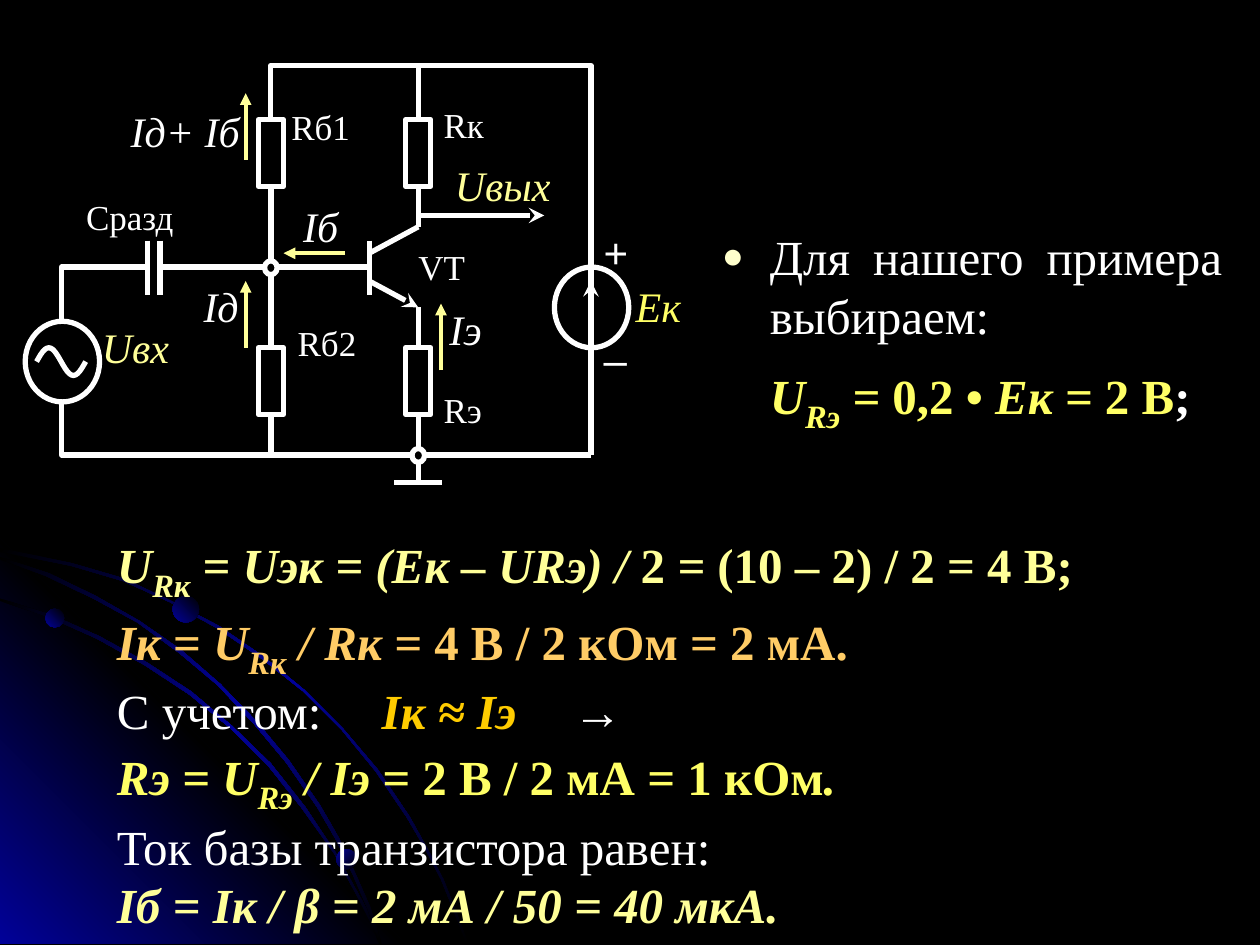
import math
from dataclasses import dataclass
from typing import Optional

import pptx
import pptx.dml.color
import pptx.enum.shapes
import pptx.enum.text
import pptx.oxml
import pptx.oxml.ns
import pptx.util
from lxml import etree

Inches = pptx.util.Inches
Pt = pptx.util.Pt
Shape = pptx.enum.shapes.MSO_SHAPE
Align = pptx.enum.text.PP_ALIGN
SERIF = "Times New Roman"
WHITE, BLACK, BLUE = "FFFFFF", "000000", "010199"
YELLOW, PALE, ORANGE, GOLD = "FFFF66", "FFFF99", "FFCC66", "FFCC00"


@dataclass
class Wire:
    points: list
    color: str = WHITE
    width: float = 3
    arrow: Optional[str] = None


@dataclass
class Label:
    text: str
    left: float
    top: float
    width: float
    size: int = 20
    color: str = WHITE
    italic: bool = False
    align: Align = Align.CENTER
    font: str = SERIF


@dataclass
class Piece:
    text: str
    color: str
    bold: bool = True
    italic: bool = True
    subscript: bool = False


def rgb(color: str):
    return pptx.dml.color.RGBColor.from_string(color)


def add_element(parent, tag: str, **attributes: str):
    element = etree.SubElement(parent, pptx.oxml.ns.qn(tag))
    for name, value in attributes.items():
        element.set(name, value)
    return element


def fill_gradient(shape, colors: list, angle: int) -> None:
    shape.fill.gradient()
    gradient = shape.fill._fill._gradFill
    for child in list(gradient):
        gradient.remove(child)
    stops = add_element(gradient, "a:gsLst")
    for index, color in enumerate(colors):
        position = 100000 * index // (len(colors) - 1)
        stop = add_element(stops, "a:gs", pos=str(position))
        add_element(stop, "a:srgbClr", val=color)
    add_element(gradient, "a:lin", ang=str(angle * 60000), scaled="0")
    shape.line.fill.background()
    shape.shadow.inherit = False


def draw_outline(shapes, points: list, close: bool):
    lengths = [(Inches(x), Inches(y)) for x, y in points]
    builder = shapes.build_freeform(*lengths[0])
    builder.add_line_segments(lengths[1:], close=close)
    shape = builder.convert_to_shape()
    shape.shadow.inherit = False
    return shape


def draw_wire(shapes, wire: Wire) -> None:
    if len(wire.points) == 2:
        ends = [Inches(value) for point in wire.points for value in point]
        shape = shapes.add_connector(pptx.enum.shapes.MSO_CONNECTOR.STRAIGHT, *ends)
    else:
        shape = draw_outline(shapes, wire.points, False)
        shape.fill.background()
    shape.line.color.rgb = rgb(wire.color)
    shape.line.width = Pt(wire.width)
    if wire.arrow:
        add_element(shape.line._get_or_add_ln(), "a:tailEnd", type=wire.arrow)
    if len(wire.points) == 2:
        add_element(shape._element.spPr, "a:effectLst")


def draw_part(shapes, kind, box: tuple, fill: Optional[str] = None) -> None:
    shape = shapes.add_shape(kind, *map(Inches, box))
    shape.shadow.inherit = False
    if fill:
        shape.fill.solid()
        shape.fill.fore_color.rgb = rgb(fill)
    else:
        shape.fill.background()
    shape.line.color.rgb = rgb(WHITE)
    shape.line.width = Pt(3)


def draw_label(shapes, label: Label) -> None:
    box = shapes.add_textbox(*map(Inches, (label.left, label.top, label.width, 0.43)))
    frame = box.text_frame
    frame.word_wrap = True
    frame.margin_left = frame.margin_right = frame.margin_top = frame.margin_bottom = 0
    paragraph = frame.paragraphs[0]
    paragraph.text = label.text
    paragraph.alignment = label.align
    paragraph.font.name = label.font
    paragraph.font.size = Pt(label.size)
    paragraph.font.italic = label.italic
    paragraph.font.color.rgb = rgb(label.color)


def write_pieces(paragraph, pieces: list) -> None:
    paragraph.font.name = SERIF
    paragraph.font.size = Pt(28)
    for piece in pieces:
        run = paragraph.add_run()
        run.text = piece.text
        run.font.bold = piece.bold
        run.font.italic = piece.italic
        run.font.color.rgb = rgb(piece.color)
        if piece.subscript:
            run.font.size = Pt(32)
            run._r.get_or_add_rPr().set("baseline", "-25000")


BANDS = [
    [(0.57, 4.47), (0, 4.35), (0, 4.38), (0.56, 4.49), (0.97, 4.61), (1.35, 4.78),
     (1.73, 4.99), (2.08, 5.23), (2.41, 5.49), (2.71, 5.79), (2.98, 6.12), (3.23, 6.49),
     (3.37, 6.73), (3.5, 6.98), (3.6, 7.23), (3.7, 7.49), (3.72, 7.49), (3.62, 7.23),
     (3.52, 6.98), (3.39, 6.73), (3.25, 6.48), (3, 6.11), (2.72, 5.78), (2.42, 5.48),
     (2.09, 5.21), (1.74, 4.97), (1.36, 4.77), (0.98, 4.59)],
    [(2.85, 7.14), (2.94, 7.32), (3.01, 7.49), (3.03, 7.49), (2.96, 7.3), (2.86, 7.12),
     (2.66, 6.76), (2.42, 6.4), (2.15, 6.06), (1.84, 5.76), (1.52, 5.49), (1.17, 5.26),
     (0.79, 5.05), (0.41, 4.88), (0, 4.75), (0, 4.77), (0.39, 4.9), (0.77, 5.07),
     (1.15, 5.28), (1.5, 5.51), (1.83, 5.78), (2.13, 6.08), (2.4, 6.42), (2.65, 6.77)],
    [(0, 4.42), (0, 4.44), (0.36, 4.57), (0.74, 4.75), (1.09, 4.94), (1.42, 5.18),
     (1.73, 5.44), (2.02, 5.75), (2.27, 6.05), (2.52, 6.41), (2.67, 6.67), (2.8, 6.94),
     (2.92, 7.22), (3.01, 7.49), (3.03, 7.49), (2.94, 7.2), (2.82, 6.93), (2.69, 6.65),
     (2.54, 6.39), (2.29, 6.03), (2.04, 5.73), (1.75, 5.43), (1.44, 5.16), (1.11, 4.93),
     (0.76, 4.73), (0.39, 4.55)],
]
TRIANGLE = [(3.22, 7.49), (0, 7.49), (0, 4.27)]
DOTS = [(0.36, 4.83, 0.15, 135), (2.67, 6.74, 0.16, 225), (1.37, 4.73, 0.21, 135)]
SINE = [(0.29 + 0.39 * step / 24, 2.87 - 0.11 * math.sin(math.tau * step / 24)) for step in range(25)]
WIRES = [
    Wire(SINE),
    Wire([(0.49, 2.55), (0.49, 2.12), (1.17, 2.12)]),
    Wire([(0.49, 3.19), (0.49, 3.61), (4.69, 3.61)]),
    Wire([(2.15, 0.95), (2.15, 0.52), (4.69, 0.52), (4.69, 3.61)]),
    *[Wire([(x, 1.91), (x, 2.34)]) for x in (1.17, 1.27, 2.93)],
    Wire([(1.27, 2.12), (2.93, 2.12)]),
    Wire([(2.15, 1.48), (2.15, 2.76)]),
    Wire([(2.15, 3.3), (2.15, 3.61)]),
    Wire([(3.32, 0.52), (3.32, 0.95)]),
    Wire([(3.32, 1.48), (3.32, 1.8)]),
    Wire([(2.93, 2.01), (3.32, 1.8)]),
    Wire([(2.93, 2.23), (3.32, 2.44)], arrow="stealth"),
    Wire([(3.32, 2.44), (3.32, 2.76)]),
    Wire([(3.32, 3.3), (3.32, 3.81)]),
    Wire([(3.13, 3.83), (3.51, 3.83)]),
    Wire([(4.69, 2.76), (4.69, 2.23)], arrow="stealth"),
    Wire([(3.34, 1.71), (4.32, 1.71)], arrow="stealth"),
    *[Wire([(x, y), (x, y - 0.53)], PALE, 2.25, "triangle")
      for x, y in ((1.95, 2.76), (1.95, 1.27), (3.5, 2.94))],
    Wire([(2.74, 2.01), (2.25, 2.01)], PALE, 2.25, "triangle"),
]
LABELS = [
    Label("Сразд", 0.59, 1.55, 0.88),
    Label("Rб1", 2.25, 0.84, 0.59),
    Label("Rб2", 2.25, 2.55, 0.69),
    Label("Rк", 3.52, 0.82, 0.39, align=Align.LEFT),
    Label("VT", 3.32, 1.95, 0.49, align=Align.LEFT),
    Label("Rэ", 3.52, 3.08, 0.39, align=Align.LEFT),
    Label("Eк", 4.98, 2.23, 0.49, 24, YELLOW, True),
    Label("Uвх", 0.78, 2.55, 0.59, 24, PALE, True),
    Label("Uвых", 3.61, 1.27, 0.92, 24, PALE, True, Align.LEFT),
    Label("Iд+ Iб", 0.98, 0.84, 0.98, 24, italic=True),
    Label("Iб", 2.35, 1.59, 0.39, 24, italic=True),
    Label("Iд", 1.56, 2.23, 0.39, 24, italic=True),
    Label("Iэ", 3.5, 2.41, 0.39, 24, italic=True),
    Label("+", 4.79, 1.8, 0.39, 24, align=Align.LEFT, font="Arial"),
    Label("–", 4.79, 2.65, 0.39, 24, align=Align.LEFT, font="Arial"),
]
EXAMPLE = [
    [Piece("Для нашего примера выбираем:", WHITE, False, False)],
    [Piece("U", YELLOW), Piece("Rэ", YELLOW, subscript=True), Piece(" = ", YELLOW),
     Piece("0,2 • ", YELLOW, italic=False), Piece("Eк = ", YELLOW),
     Piece("2 В", YELLOW, italic=False), Piece(";", WHITE, italic=False)],
]
CALCULATION = [
    [Piece("U", PALE), Piece("Rк", PALE, subscript=True), Piece(" = Uэк = (Eк – URэ) / ", PALE),
     Piece("2", PALE, italic=False), Piece(" = ", PALE), Piece("(10 – 2) / 2 = 4 В;", PALE, italic=False)],
    [Piece("Iк", ORANGE), Piece(" = ", ORANGE, italic=False), Piece("U", ORANGE),
     Piece("Rк", ORANGE, subscript=True), Piece(" / Rк = ", ORANGE),
     Piece("4 В / 2 кОм = 2 мА.", ORANGE, italic=False)],
    [Piece("С учетом:\t", WHITE, False, False), Piece("Iк ≈ Iэ", GOLD), Piece("\t→", WHITE, False)],
    [Piece("Rэ = U", YELLOW), Piece("Rэ", YELLOW, subscript=True), Piece(" / Iэ = ", YELLOW),
     Piece("2 В / 2 мА = 1 кОм", YELLOW, italic=False), Piece(".", YELLOW)],
    [Piece("Ток базы транзистора равен:", WHITE, False, False)],
    [Piece("Iб = Iк / β = 2 мА / 50 = 40 мкА.", PALE)],
]


def draw_backdrop(shapes) -> None:
    fill_gradient(draw_outline(shapes, TRIANGLE, True), [BLUE, BLACK, BLUE], 135)
    for band in BANDS:
        fill_gradient(draw_outline(shapes, band, True), [BLACK, BLUE, BLACK], 225)
    for left, top, size, angle in DOTS:
        dot = shapes.add_shape(Shape.OVAL, *map(Inches, (left, top, size, size)))
        fill_gradient(dot, [BLACK, BLUE], angle)


def draw_circuit(shapes) -> None:
    for wire in WIRES:
        draw_wire(shapes, wire)
    for left, top in ((0.2, 2.55), (4.4, 2.12)):
        draw_part(shapes, Shape.OVAL, (left, top, 0.59, 0.64))
    for left in (2.05, 3.22):
        for top in (0.95, 2.76):
            draw_part(shapes, Shape.RECTANGLE, (left, top, 0.2, 0.53))
    for left, top in ((2.1, 2.07), (3.27, 3.56)):
        draw_part(shapes, Shape.OVAL, (left, top, 0.1, 0.11), BLACK)
    for label in LABELS:
        draw_label(shapes, label)


def write_example(body) -> None:
    body.left, body.top, body.width, body.height = map(Inches, (5.63, 1.75, 4.17, 2))
    frame = body.text_frame
    frame.auto_size = pptx.enum.text.MSO_AUTO_SIZE.NONE
    frame.vertical_anchor = pptx.enum.text.MSO_ANCHOR.TOP
    for index, pieces in enumerate(EXAMPLE):
        paragraph = frame.add_paragraph() if index else frame.paragraphs[0]
        paragraph.alignment = Align.JUSTIFY
        paragraph.space_before = Pt(8 * index)
        properties = paragraph._p.get_or_add_pPr()
        properties.set("marL", str(Inches(0.38)))
        properties.set("indent", str(0 if index else Inches(-0.38)))
        if index:
            add_element(properties, "a:buNone")
        else:
            add_element(add_element(properties, "a:buClr"), "a:srgbClr", val="FFFFCC")
            add_element(properties, "a:buSzPct", val="75000")
            add_element(properties, "a:buChar", char="●")
        write_pieces(paragraph, pieces)


def write_calculation(shapes) -> None:
    frame = shapes.add_textbox(*map(Inches, (0.83, 4.14, 8.82, 3.32))).text_frame
    frame.word_wrap = True
    for index, pieces in enumerate(CALCULATION):
        paragraph = frame.add_paragraph() if index else frame.paragraphs[0]
        if any("\t" in piece.text for piece in pieces):
            stops = add_element(paragraph._p.get_or_add_pPr(), "a:tabLst")
            for position in (2.1, 3.62):
                add_element(stops, "a:tab", pos=str(Inches(position)), algn="l")
        write_pieces(paragraph, pieces)


def main() -> None:
    presentation = pptx.Presentation()
    presentation.slide_width, presentation.slide_height = Inches(10), Inches(7.5)
    slide = presentation.slides.add_slide(presentation.slide_layouts[1])
    slide.background.fill.solid()
    slide.background.fill.fore_color.rgb = rgb(BLACK)
    title = slide.shapes.title._element
    title.getparent().remove(title)
    draw_backdrop(slide.shapes.add_group_shape().shapes)
    write_example(slide.placeholders[1])
    draw_circuit(slide.shapes.add_group_shape().shapes)
    write_calculation(slide.shapes)
    presentation.save("out.pptx")


if __name__ == "__main__":
    main()
